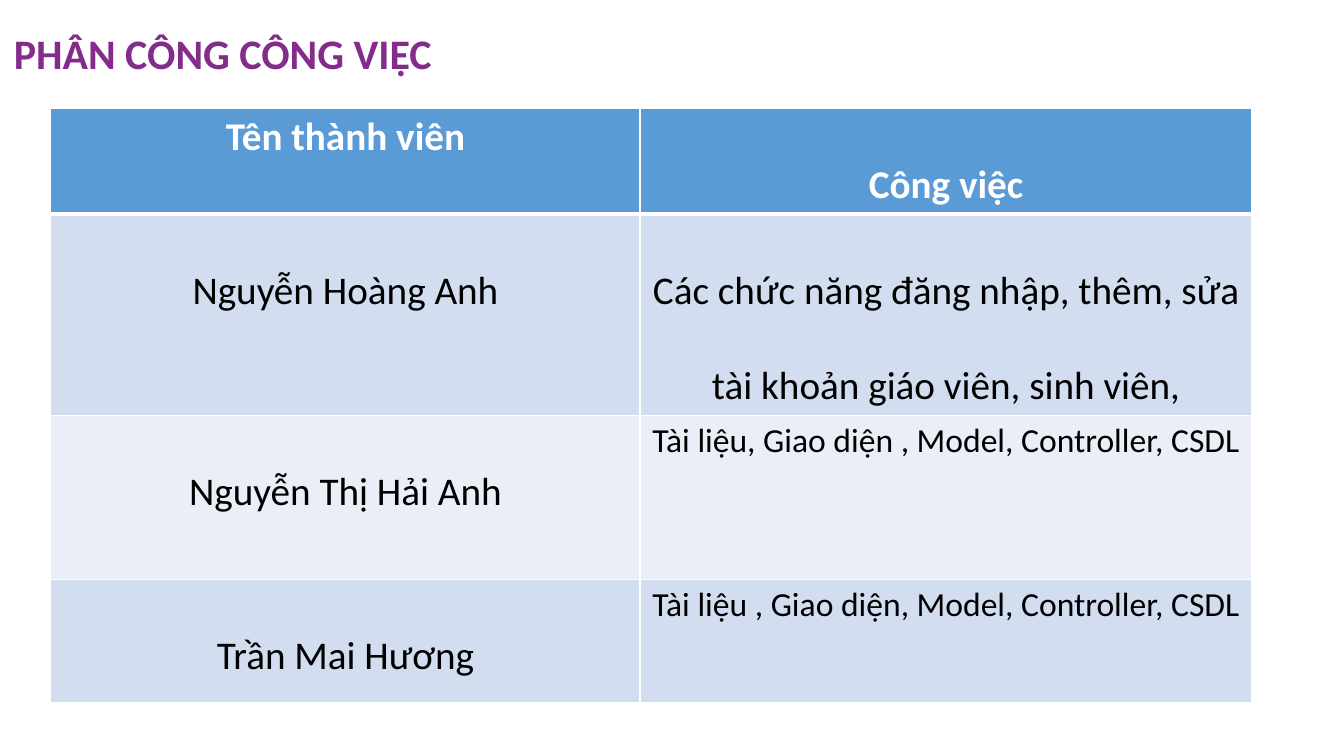
"""Build the slide that assigns project work to the team members."""
import dataclasses

import lxml.etree
import pptx
import pptx.dml.color
import pptx.enum.text
import pptx.oxml.ns
import pptx.util

Cm = pptx.util.Cm
Pt = pptx.util.Pt


@dataclasses.dataclass(frozen=True)
class Theme:
    font: str = "Calibri"
    heading: str = "832C8B"
    header: str = "5B9BD5"
    bands: tuple = ("D2DEEF", "EAEFF7")
    border: str = "FFFFFF"
    header_text: str = "FFFFFF"
    body_text: str = "000000"
    heading_size: int = 30
    main_size: int = 28
    detail_size: int = 24
    thin: int = 1
    thick: int = 3


theme = Theme()


def style_text(paragraph, size, color, bold, spacing):
    paragraph.line_spacing = spacing
    formats = {"name": theme.font, "size": Pt(size), "bold": bold}
    for attribute, value in formats.items():
        setattr(paragraph.font, attribute, value)
    paragraph.font.color.rgb = pptx.dml.color.RGBColor.from_string(color)


def draw_borders(cell, widths):
    properties = cell._tc.get_or_add_tcPr()
    for position, (side, width) in enumerate(widths.items()):
        line = lxml.etree.Element(pptx.oxml.ns.qn(f"a:{side}"), w=str(Pt(width)))
        fill = lxml.etree.SubElement(line, pptx.oxml.ns.qn("a:solidFill"))
        lxml.etree.SubElement(fill, pptx.oxml.ns.qn("a:srgbClr"), val=theme.border)
        properties.insert(position, line)


deck = pptx.Presentation()
deck.slide_width = Cm(33.87)
deck.slide_height = Cm(19.05)
slide = deck.slides.add_slide(deck.slide_layouts[5])

heading = slide.shapes.title
placement = {"left": Cm(0.1), "top": Cm(0), "width": Cm(29.21), "height": Cm(2.84)}
for attribute, value in placement.items():
    setattr(heading, attribute, value)
heading_frame = heading.text_frame
heading_frame.text = "PHÂN CÔNG CÔNG VIỆC"
frame_formats = {
    "margin_left": Cm(0.25),
    "margin_right": Cm(0.25),
    "margin_top": Cm(0.25),
    "margin_bottom": Cm(0.25),
    "word_wrap": True,
    "auto_size": pptx.enum.text.MSO_AUTO_SIZE.NONE,
    "vertical_anchor": pptx.enum.text.MSO_ANCHOR.MIDDLE,
}
for attribute, value in frame_formats.items():
    setattr(heading_frame, attribute, value)
heading_frame.paragraphs[0].alignment = pptx.enum.text.PP_ALIGN.LEFT
style_text(heading_frame.paragraphs[0], theme.heading_size, theme.heading, True, 0.9)

main, detail = theme.main_size, theme.detail_size
assignments = [
    [("Tên thành viên", main, 1), ("Công việc", main, 2)],
    [
        ("Nguyễn Hoàng Anh", main, 2),
        ("Các chức năng đăng nhập, thêm, sửa tài khoản giáo viên, sinh viên,", main, 2),
    ],
    [
        ("Nguyễn Thị Hải Anh", main, 2),
        ("Tài liệu, Giao diện , Model, Controller, CSDL", detail, 1),
    ],
    [
        ("Trần Mai Hương", main, 2),
        ("Tài liệu , Giao diện, Model, Controller, CSDL", detail, 1),
    ],
]
column_widths = [14.85, 15.42]
row_heights = [2.57, 4.45, 4.13, 3.1]

work_table = slide.shapes.add_table(
    len(row_heights), len(column_widths), Cm(1.28), Cm(2.72),
    Cm(sum(column_widths)), Cm(sum(row_heights)),
).table
work_table.horz_banding = False
for column, width in zip(work_table.columns, column_widths):
    column.width = Cm(width)
for row, height in zip(work_table.rows, row_heights):
    row.height = Cm(height)

for row_index, assignment in enumerate(assignments):
    is_header = row_index == 0
    band = theme.header if is_header else theme.bands[(row_index - 1) % 2]
    ink = theme.header_text if is_header else theme.body_text
    border_widths = {
        "lnL": theme.thin,
        "lnR": theme.thin,
        "lnT": theme.thick if row_index == 1 else theme.thin,
        "lnB": theme.thick if is_header else theme.thin,
    }
    for column_index, (wording, size, spacing) in enumerate(assignment):
        cell = work_table.cell(row_index, column_index)
        cell.text = wording
        cell.fill.solid()
        cell.fill.fore_color.rgb = pptx.dml.color.RGBColor.from_string(band)
        draw_borders(cell, border_widths)
        paragraph = cell.text_frame.paragraphs[0]
        paragraph.alignment = pptx.enum.text.PP_ALIGN.CENTER
        style_text(paragraph, size, ink, is_header, float(spacing))

deck.save("out.pptx")
